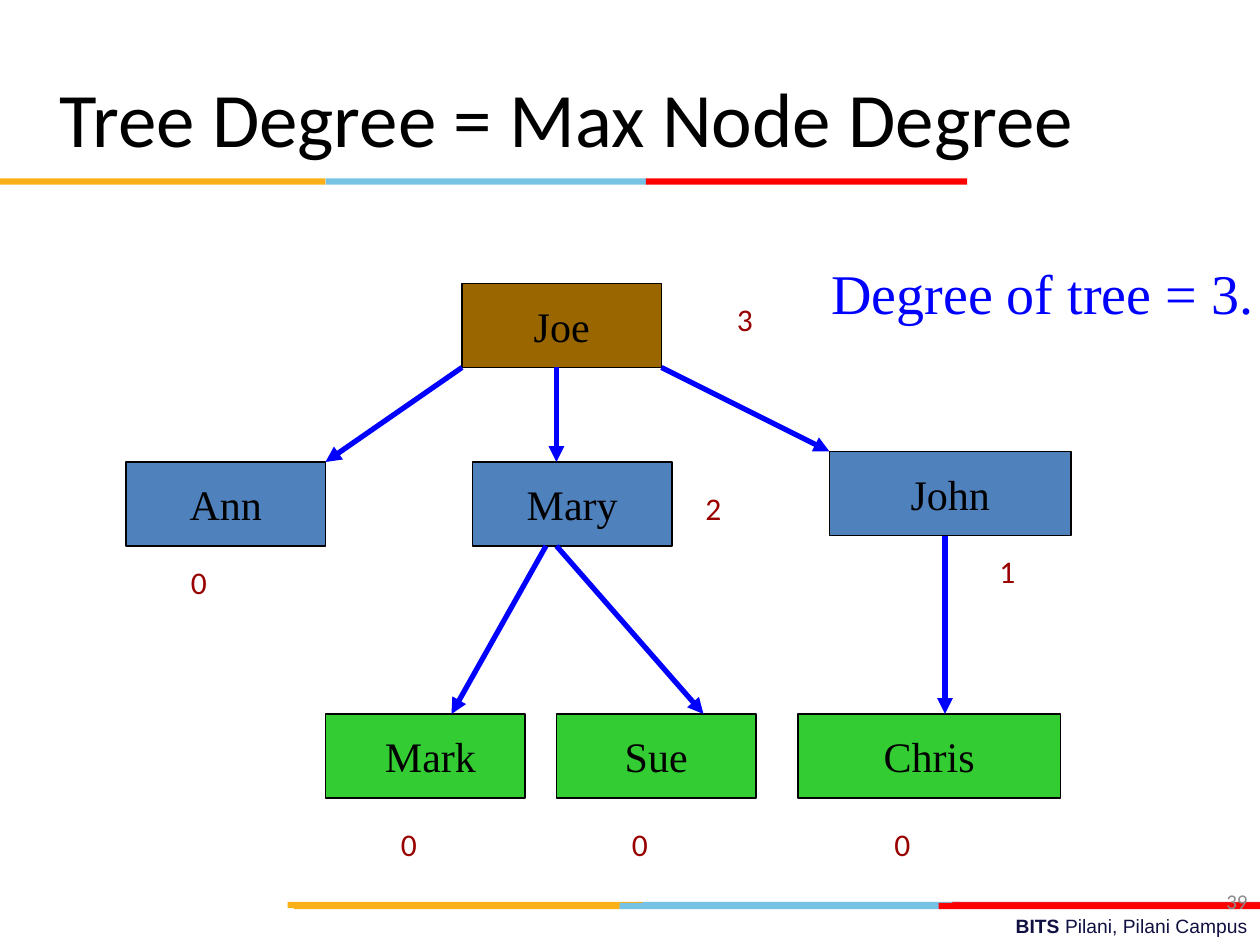
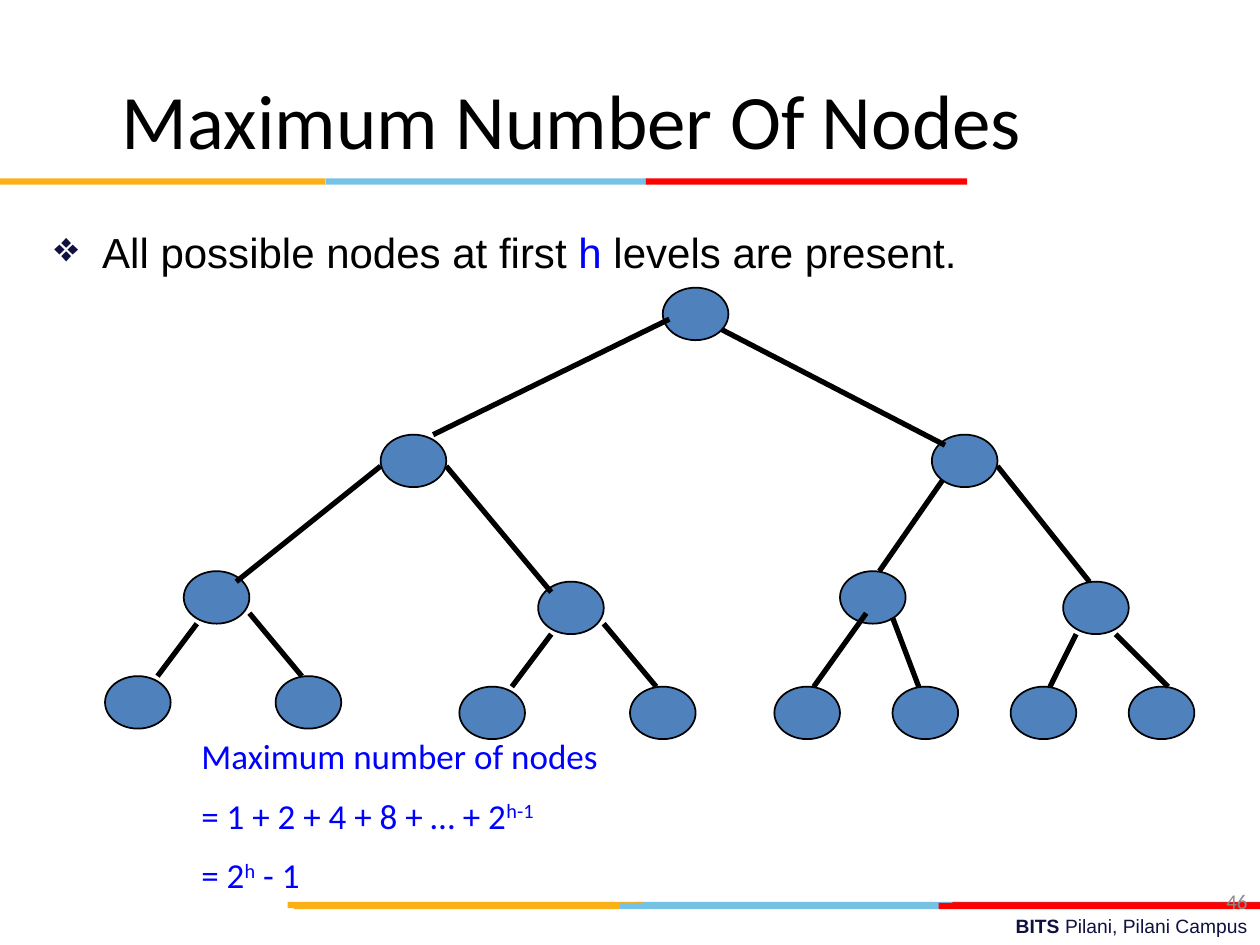
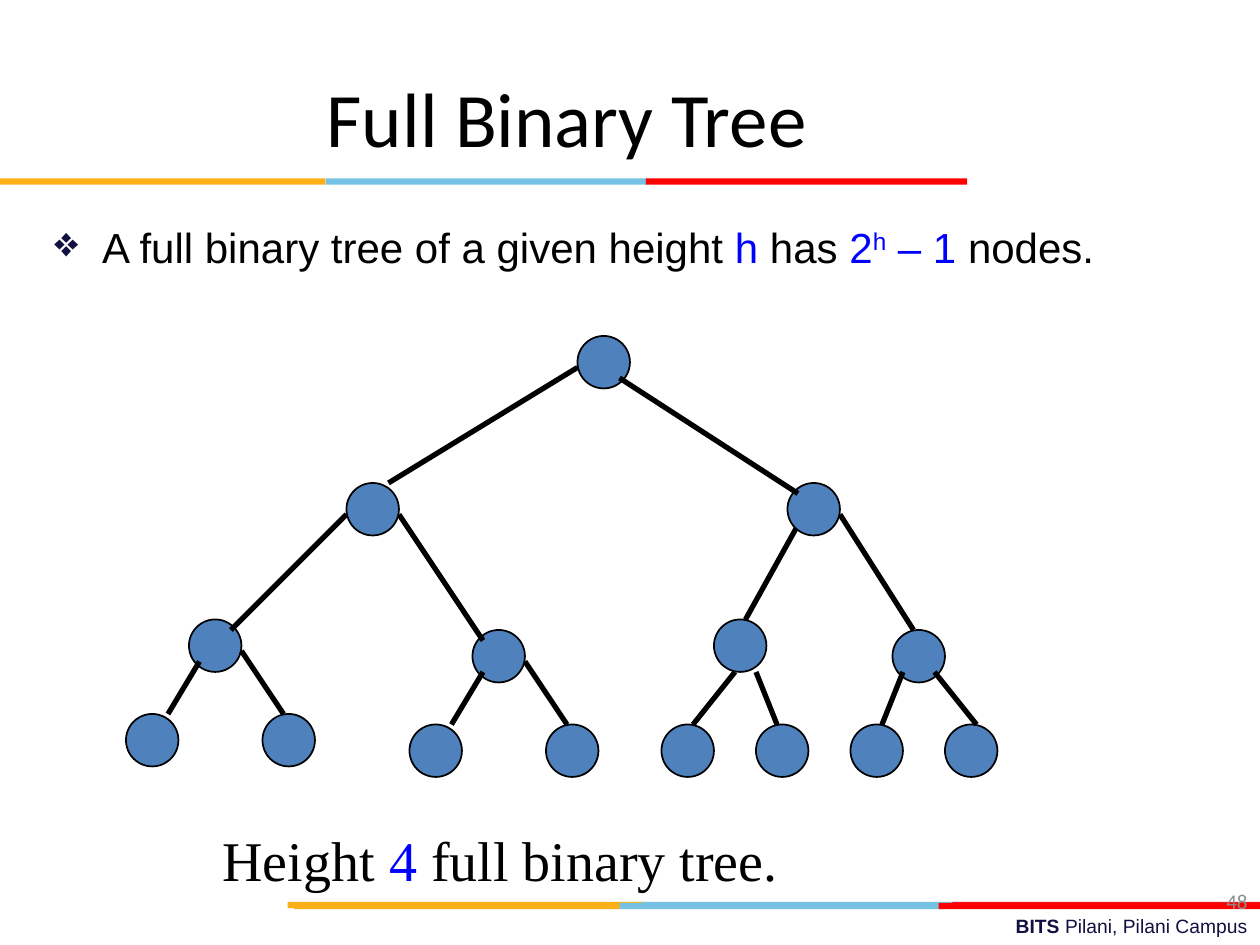
from dataclasses import dataclass

from lxml import etree
from pptx import Presentation
from pptx import util as u
from pptx.dml.color import RGBColor
from pptx.enum import shapes, text
from pptx.oxml import ns


@dataclass(frozen=True)
class Theme:
    gold: str = "FCB017"
    sky: str = "76C2E5"
    red: str = "FF0000"
    crimson: str = "E31C24"
    navy: str = "101141"
    black: str = "000000"
    blue: str = "0000FF"
    node: str = "4F81BD"
    root: str = "996600"
    leaf: str = "33CC33"
    degree: str = "990000"
    grey: str = "8C8C8C"
    title: tuple = ("Calibri", 44)
    body: tuple = ("Arial", 24)
    caption: tuple = ("Times New Roman", 32)
    label: tuple = ("Times New Roman", 24)
    formula: tuple = ("Calibri", 20)
    count: tuple = ("Calibri", 18)
    number: tuple = ("Calibri", 12)
    campus: tuple = ("Arial", 11)
    outline: float = 1
    link: float = 3


theme = Theme()
LEFT, CENTER, RIGHT = text.PP_ALIGN.LEFT, text.PP_ALIGN.CENTER, text.PP_ALIGN.RIGHT
TOP, MIDDLE = text.MSO_ANCHOR.TOP, text.MSO_ANCHOR.MIDDLE
RECTANGLE, OVAL = shapes.MSO_SHAPE.RECTANGLE, shapes.MSO_SHAPE.OVAL

deck = Presentation()
deck.slide_width, deck.slide_height = u.Inches(10), u.Inches(7.5)
COLUMNS = 120
cell = deck.slide_width / COLUMNS


def grid(*lengths):
    return [round(length * cell) for length in lengths]


def write(box, style, lines, align=LEFT, anchor=TOP, wrap=True, bullet=None, leading=None):
    frame = box.text_frame
    frame.word_wrap, frame.vertical_anchor = wrap, anchor
    for index, line in enumerate(lines):
        para = frame.add_paragraph() if index else frame.paragraphs[0]
        para.alignment = align
        if index:
            para.space_before = u.Pt(style[1] / 2)
        if leading:
            para.line_spacing = leading
        if bullet:
            props = para._p.get_or_add_pPr()
            props.set("marL", str(u.Inches(0.38)))
            props.set("indent", str(-u.Inches(0.38)))
            paint = etree.SubElement(props, ns.qn("a:buClr"))
            etree.SubElement(paint, ns.qn("a:srgbClr"), val=theme.navy)
            etree.SubElement(props, ns.qn("a:buChar"), char=bullet)
        for words, color, *marks in line:
            span = para.add_run()
            span.text = words
            span.font.name, span.font.size = style[0], u.Pt(style[1])
            span.font.bold = "bold" in marks
            span.font.color.rgb = RGBColor.from_string(color)
            if "raised" in marks:
                span.font._element.set("baseline", "30000")


band_rows = [
    (85.9, [(60.7, 30.6, theme.sky), (90.7, 29.3, theme.crimson), (27.4, 33.8, theme.gold)]),
    (86, [(59, 30.6, theme.sky), (28, 31, theme.gold), (89.4, 30.6, theme.red)]),
    (17, [(31, 30.6, theme.sky), (0, 31, theme.gold), (61.5, 30.6, theme.red)]),
]
bands = [(left, top, width, 0.6, color, "")
         for top, row in band_rows for left, width, color in row]

family = [
    (44, 27, 19, 8, theme.root, "Joe"),
    (12, 44, 19, 8, theme.node, "Ann"),
    (45, 44, 19, 8, theme.node, "Mary"),
    (79, 43, 23, 8, theme.node, "John"),
    (31, 68, 19, 8, theme.leaf, " Mark"),
    (53, 68, 19, 8, theme.leaf, "Sue"),
    (76, 68, 25, 8, theme.leaf, "Chris"),
]
family_links = [(53, 35, 53, 44), (44, 35, 31, 44), (63, 35, 79, 43),
                (53, 52, 67, 68), (90, 51, 90, 68), (52, 52, 43, 68)]
degrees = [(69, 28, "3"), (94, 52, "1"), (66, 46, "2"), (17, 53, "0"),
           (37, 78, "0"), (59, 78, "0"), (84, 78, "0")]

tree_levels = [
    ([(18, 59), (45, 60), (68, 59), (85, 60)],
     [(76, 50, 71, 59), (80, 49, 87, 60), (33, 49, 22, 60), (38, 49, 46, 61)]),
    ([(55, 32), (75, 46), (33, 46)],
     [(55, 35, 37, 46), (59, 36, 76, 47)]),
    ([(12, 68), (25, 68), (39, 69), (52, 69), (63, 69), (72, 69), (81, 69), (90, 69)],
     [(19, 63, 16, 68), (23, 62, 27, 68), (46, 64, 43, 69), (50, 63, 54, 69),
      (70, 64, 66, 69), (72, 64, 74, 69), (86, 64, 84, 69), (89, 64, 93, 69)]),
]
NODE = 5
wide_moves = {(55, 32): (54.5, 32), (70, 64, 66, 69): (70, 62, 66, 69),
              (72, 64, 74, 69): (72, 62.4, 74, 69)}
trees = []
for stretch, shift, drops, moves in [(1.25, -5, (-4.6, -4.6, -3.6), wide_moves),
                                     (1, 0, (0, 0, 0), {})]:
    layers = []
    for (spots, edges), drop in zip(tree_levels, drops):
        spots = [moves.get(spot, spot) for spot in spots]
        edges = [moves.get(edge, edge) for edge in edges]
        nodes = [(x * stretch + shift, y + drop, NODE * stretch, NODE, theme.node, "")
                 for x, y in spots]
        links = [(x1 * stretch + shift, y1 + drop, x2 * stretch + shift, y2 + drop)
                 for x1, y1, x2, y2 in edges]
        layers.append((OVAL, theme.outline, nodes, links, theme.black, False))
    trees.append(layers)
wide_tree, full_tree = trees

slides = [
    ("Tree Degree = Max Node Degree", (0, 3.6, 108, 15), "39",
     [(RECTANGLE, theme.outline, family, family_links, theme.blue, True)],
     [((left, top, 8, 4.8), theme.count, [[(value, theme.degree)]], {})
      for left, top, value in degrees]
     + [((78, 24, 47, 7.6), theme.caption, [[("Degree of tree = 3.", theme.blue)]], {})]),
    ("Maximum Number Of Nodes", (3.5, 5.8, 102, 11), "46", wide_tree,
     [((4, 21, 108, 59.4), theme.body,
       [[("All possible nodes at first ", theme.black), ("h", theme.blue),
         (" levels are present.", theme.black)]], {"bullet": "❖"}),
      ((18, 69.4, 90, 17.4), theme.formula,
       [[("Maximum number of nodes", theme.blue)],
        [("= 1 + 2 + 4 + 8 + … + 2", theme.blue), ("h-1", theme.blue, "raised")],
        [("= 2", theme.blue), ("h", theme.blue, "raised"), (" - 1", theme.blue)]], {})]),
    ("Full Binary Tree", (0, 3.6, 108, 15), "48", full_tree,
     [((4, 21, 108, 59.4), theme.body,
       [[("A full binary tree of a given height ", theme.black), ("h", theme.blue),
         (" has ", theme.black), ("2", theme.blue), ("h", theme.blue, "raised"),
         (" – 1 ", theme.blue), ("nodes.", theme.black)]],
       {"bullet": "❖", "leading": 0.9}),
      ((20, 78, 86, 7.6), theme.caption,
       [[("Height ", theme.black), ("4", theme.blue),
         (" full binary tree.", theme.black)]], {})]),
]

for title, title_place, number, layers, captions in slides:
    page = deck.slides.add_slide(deck.slide_layouts[6])
    frame_layer = (RECTANGLE, None, bands, [], theme.black, False)
    for kind, outline, nodes, links, ink, arrow in [frame_layer, *layers]:
        for left, top, width, height, fill, label in nodes:
            shape = page.shapes.add_shape(kind, *grid(left, top, width, height))
            shape.shadow.inherit = False
            shape.fill.solid()
            shape.fill.fore_color.rgb = RGBColor.from_string(fill)
            if outline:
                shape.line.width = u.Pt(outline)
                shape.line.color.rgb = RGBColor.from_string(theme.black)
            else:
                shape.line.fill.background()
            if label:
                write(shape, theme.label, [[(label, theme.black)]], CENTER, MIDDLE, False)
        for ends in links:
            link = page.shapes.add_connector(shapes.MSO_CONNECTOR.STRAIGHT, *grid(*ends))
            link.line.width = u.Pt(theme.link)
            link.line.color.rgb = RGBColor.from_string(ink)
            if arrow:
                etree.SubElement(link.line._get_or_add_ln(), ns.qn("a:tailEnd"), type="triangle")
            etree.SubElement(link._element.spPr, ns.qn("a:effectLst"))
    furniture = [
        (title_place, theme.title, [[(title, theme.black)]],
         {"align": CENTER, "anchor": MIDDLE}),
        ((92, 83.4, 28, 4.8), theme.number, [[(number, theme.grey)]],
         {"align": RIGHT, "anchor": MIDDLE}),
        ((43, 86.5, 77, 3.5), theme.campus,
         [[("BITS ", theme.navy, "bold"), ("Pilani, Pilani Campus", theme.navy)]],
         {"align": RIGHT}),
    ]
    for place, style, lines, options in furniture + captions:
        box = page.shapes.add_textbox(*grid(*place))
        write(box, style, lines, **options)

deck.save("out.pptx")
